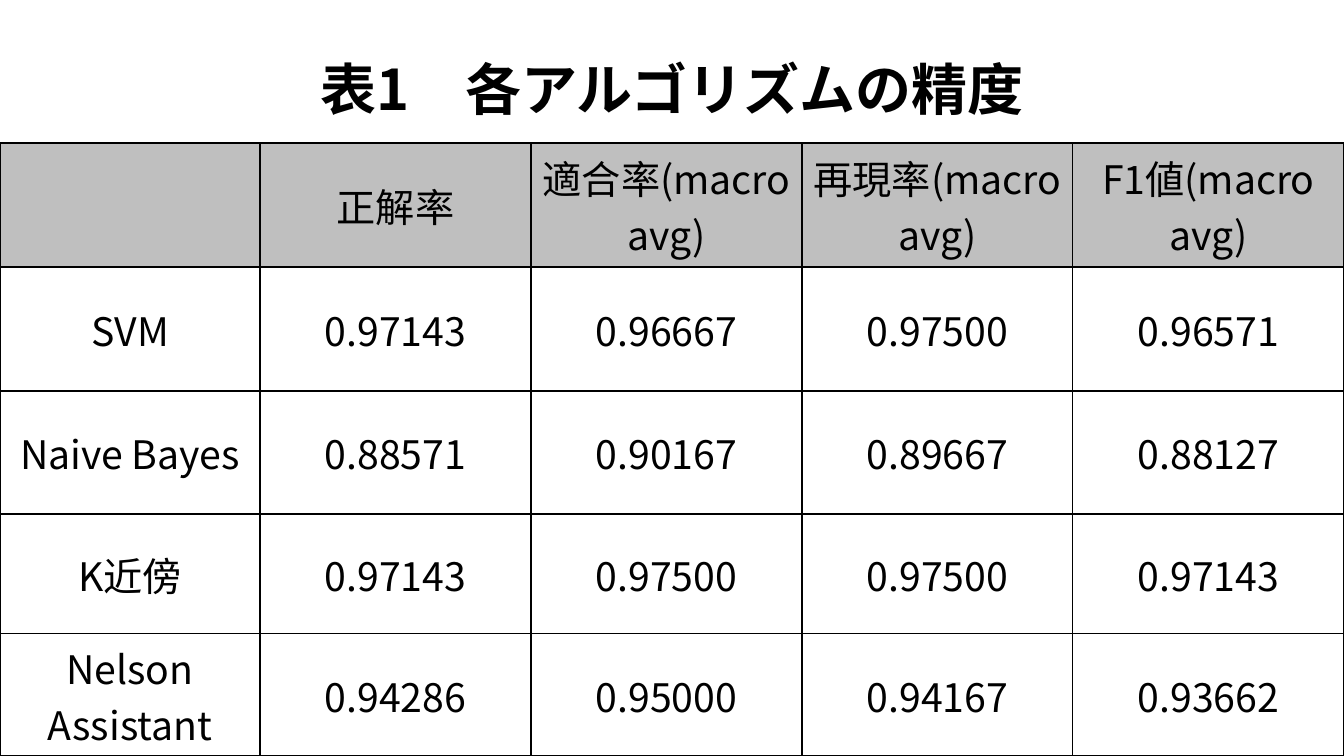
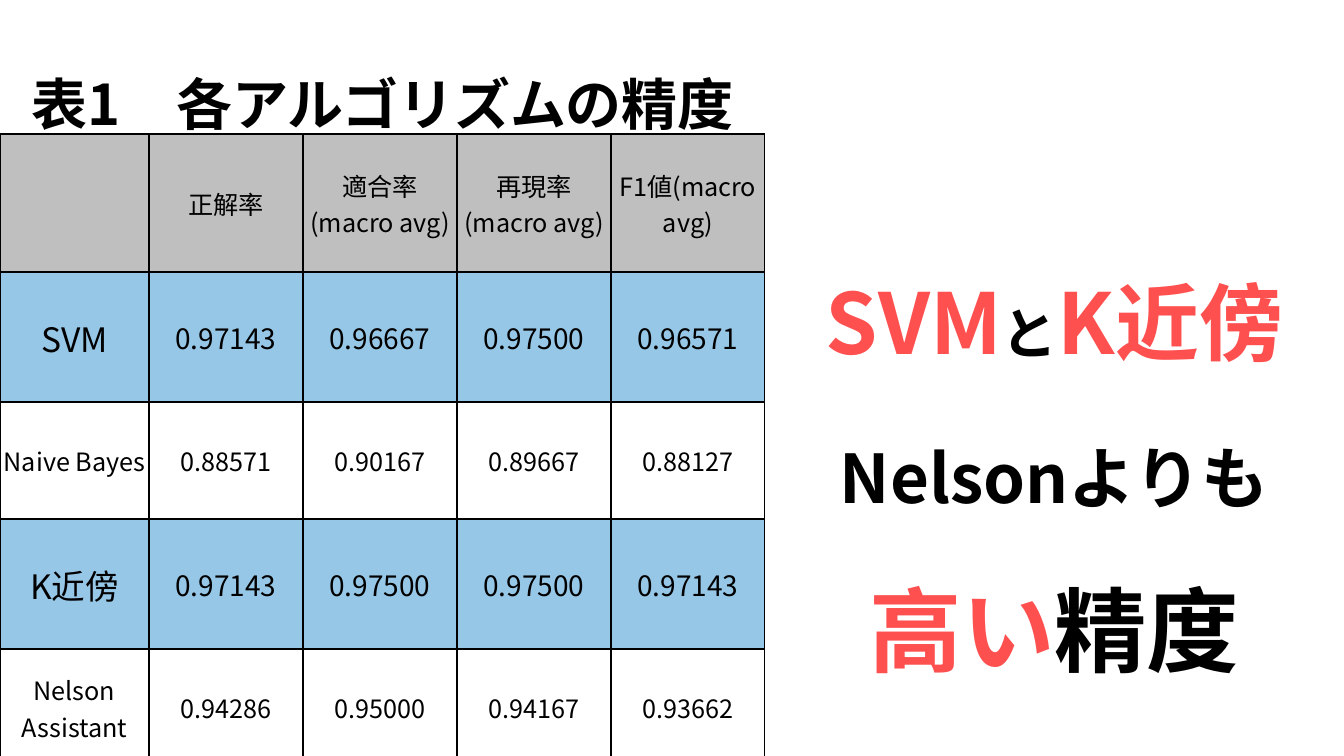
"""Build two slides on the accuracy of each classification algorithm."""
from lxml import etree
from pptx import Presentation
from pptx.dml.color import RGBColor
from pptx.enum.text import MSO_ANCHOR, MSO_AUTO_SIZE, PP_ALIGN
from pptx.oxml.ns import qn
from pptx.util import Emu, Pt

CENTER = PP_ALIGN.CENTER
TOP, MIDDLE = MSO_ANCHOR.TOP, MSO_ANCHOR.MIDDLE
NO_AUTOFIT = MSO_AUTO_SIZE.NONE

SLIDE_W, SLIDE_H = 1344, 756
EMU_PER_PX = 914400 / 100.8
TITLE_ONLY = 5
FONT = "Noto Sans CJK JP"
BLACK, WHITE, GRAY, BLUE, RED = "000000", "FFFFFF", "BFBFBF", "97C7E6", "FF5050"

TITLE = "表1　各アルゴリズムの精度"
SCORES = [
    ["", "正解率", "適合率(macro avg)", "再現率(macro avg)", "F1値(macro avg)"],
    ["SVM", "0.97143", "0.96667", "0.97500", "0.96571"],
    ["Naive Bayes", "0.88571", "0.90167", "0.89667", "0.88127"],
    ["K近傍", "0.97143", "0.97500", "0.97500", "0.97143"],
    ["Nelson Assistant", "0.94286", "0.95000", "0.94167", "0.93662"],
]
BEST = ("SVM", "K近傍")
FINDINGS = [
    [("SVM", 60, RED), ("と", 40, BLACK), ("K近傍", 60, RED)],
    [("Nelsonよりも", 48, BLACK)],
    [("高い", 66, RED), ("精度", 66, BLACK)],
]


def px(length):
    """Turn a length in px into EMU."""
    return Emu(round(length * EMU_PER_PX))


def rgb(color):
    """Turn a hex string into a colour."""
    return RGBColor.from_string(color)


def style_font(paragraph, size, bold=False):
    """Centre a paragraph and set its Latin and East Asian font."""
    paragraph.alignment = CENTER
    font = paragraph.font
    font.size, font.bold, font.name = Pt(size), bold, FONT
    font.color.rgb = rgb(BLACK)
    latin = paragraph._p.pPr.find(qn("a:defRPr")).find(qn("a:latin"))
    east_asian = etree.Element(qn("a:ea"), typeface=FONT)
    latin.addnext(east_asian)


def add_borders(cell):
    """Draw a thin black line on all four sides of a cell."""
    properties = cell._tc.get_or_add_tcPr()
    for index, side in enumerate(("lnL", "lnR", "lnT", "lnB")):
        line = etree.Element(qn(f"a:{side}"), w="12700")
        fill = etree.SubElement(line, qn("a:solidFill"))
        etree.SubElement(fill, qn("a:srgbClr"), val=BLACK)
        properties.insert(index, line)


def fill_cell(cell, text, size, color):
    """Write one centred table cell."""
    cell.fill.solid()
    cell.fill.fore_color.rgb = rgb(color)
    cell.vertical_anchor = MIDDLE
    cell.margin_left = cell.margin_right = cell.margin_top = px(1)
    cell.margin_bottom = 0
    cell.text = text
    style_font(cell.text_frame.paragraphs[0], size)
    add_borders(cell)


def add_title(slide, left, top, width, height):
    """Place the shared title in the given box."""
    title = slide.shapes.title
    title.left, title.top, title.width, title.height = map(px, (left, top, width, height))
    frame = title.text_frame
    frame.text = TITLE
    frame.auto_size = NO_AUTOFIT
    frame.vertical_anchor = TOP
    heading = frame.paragraphs[0]
    heading.line_spacing = 1.5
    style_font(heading, 40, bold=True)


def add_scores(slide, left, top, width, label_width, heights, size, highlight=False):
    """Place the score table, with the best rows enlarged when highlighted."""
    columns = len(SCORES[0])
    frame = slide.shapes.add_table(
        len(SCORES), columns, px(left), px(top), px(width), px(sum(heights)))
    table = frame.table
    table.first_row = table.horz_banding = False
    score_width = (width - label_width) / (columns - 1)
    for index, column in enumerate(table.columns):
        column.width = px(score_width if index else label_width)
    for row_index, (row, height, scores) in enumerate(zip(table.rows, heights, SCORES)):
        row.height = px(height)
        best = highlight and scores[0] in BEST
        color = BLUE if best else WHITE if row_index else GRAY
        for index, (cell, text) in enumerate(zip(row.cells, scores)):
            cell_size = (20 if index else 24) if best else size
            fill_cell(cell, text, cell_size, color)


def add_findings(slide, left, top, width, height):
    """Place the large conclusion in the given box."""
    box = slide.shapes.add_textbox(*map(px, (left, top, width, height)))
    frame = box.text_frame
    frame.word_wrap = True
    for index, pieces in enumerate(FINDINGS):
        finding = frame.add_paragraph() if index else frame.paragraphs[0]
        finding.line_spacing = 1.5
        if index == 1:
            finding.space_before = Pt(18)
        style_font(finding, pieces[0][1], bold=True)
        for text, size, color in pieces:
            run = finding.add_run()
            run.text = text
            run.font.size = Pt(size)
            run.font.color.rgb = rgb(color)


def build_overview(slide):
    """Show the score table across the whole slide."""
    add_scores(slide, 0, 143, SLIDE_W, 260, [124, 124, 123, 120, 122], 28)
    add_title(slide, 0, 16, SLIDE_W, 103)


def build_conclusion(slide):
    """Show the highlighted table on the left and the conclusion on the right."""
    table_width = 765
    add_scores(slide, 0, 134, table_width, 149, [138, 130, 117, 130, 117], 18, highlight=True)
    add_title(slide, 0, 31, table_width, 103)
    add_findings(slide, table_width, 215, SLIDE_W - table_width, 466)


def main():
    """Build and save the presentation."""
    deck = Presentation()
    deck.slide_width, deck.slide_height = px(SLIDE_W), px(SLIDE_H)
    for build in (build_overview, build_conclusion):
        build(deck.slides.add_slide(deck.slide_layouts[TITLE_ONLY]))
    deck.save("out.pptx")


if __name__ == "__main__":
    main()
